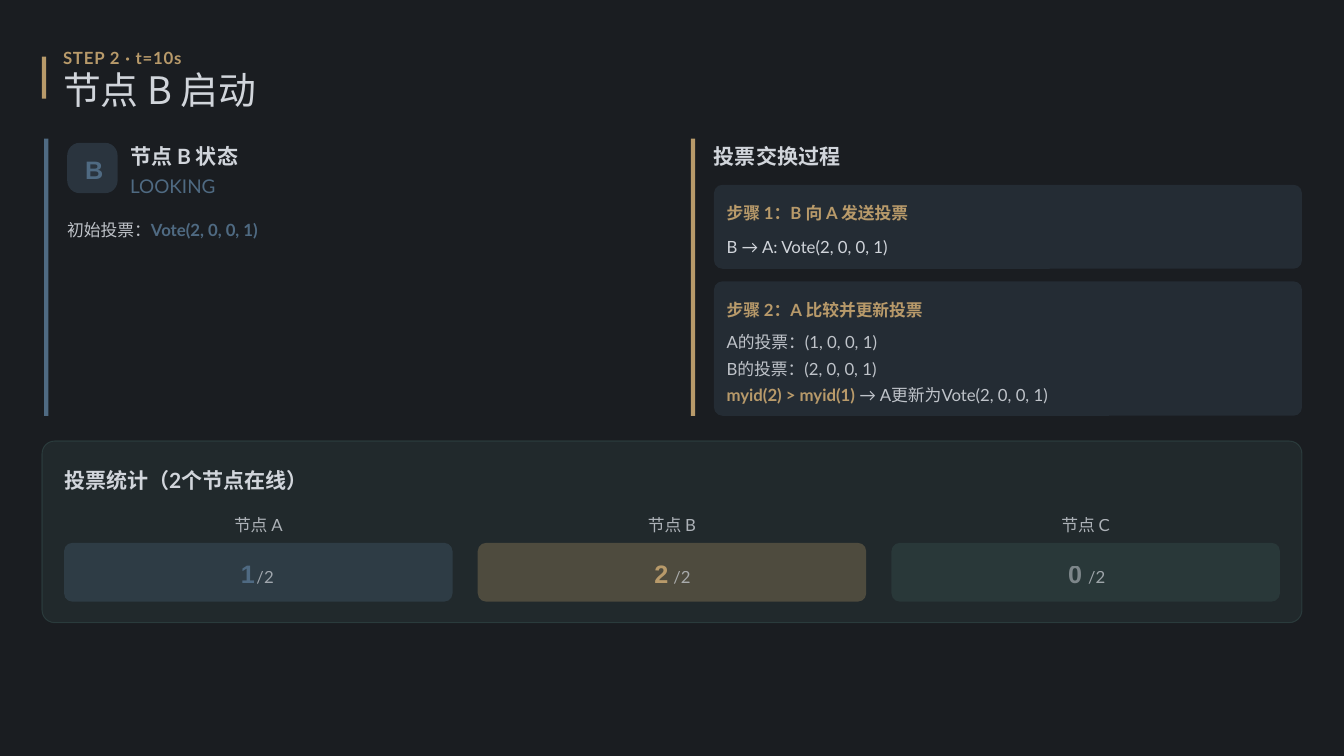
import pptx
import pptx.util
import pptx.dml.color
import pptx.enum.shapes
import pptx.enum.text
import pptx.oxml
import pptx.oxml.ns

PX = 12700
COLORS = {"bg": "1A1D21", "gold": "B89A6A", "blue": "4F6A82", "green": "3E5C5A", "light": "D1D5DB"}
CJK = "Noto Sans CJK SC"
SHAPE = pptx.enum.shapes.MSO_SHAPE
ALIGN = pptx.enum.text.PP_ALIGN

STYLES = {
    "kicker": {"size": 16, "name": "Lato", "bold": True},
    "title": {"size": 36, "name": CJK, "bold": False},
    "heading": {"size": 20, "name": "Lato", "bold": True},
    "state": {"size": 18, "name": "Lato", "bold": False},
    "strong": {"size": 16, "name": "Lato", "bold": True},
    "body": {"size": 16, "name": "Lato", "bold": False},
    "number": {"size": 24, "name": "Arial", "bold": True},
}
SPACING = {"title": 0.9, "number": 1.1, "heading": 1.2}


def paint(fill, el, color, alpha=100):
    fill.solid()
    fill.fore_color.rgb = pptx.dml.color.RGBColor.from_string(COLORS[color])
    if alpha < 100:
        clr = next(el.iter(pptx.oxml.ns.qn("a:srgbClr")))
        a = pptx.oxml.parse_xml(f'<a:alpha {pptx.oxml.ns.nsdecls("a")} val="{alpha * 1000}"/>')
        clr.append(a)


def add_run(p, text, style, color, alpha=100):
    r = p.add_run()
    r.text = text
    for key, value in STYLES[style].items():
        setattr(r.font, key, pptx.util.Pt(value) if key == "size" else value)
    paint(r.font.fill, r._r, color, alpha)
    rPr = r._r.get_or_add_rPr()
    rPr.append(pptx.oxml.parse_xml(f'<a:ea {pptx.oxml.ns.nsdecls("a")} typeface="{CJK}"/>'))
    if style == "kicker":
        rPr.set("spc", "80")


def write(sp, paragraphs, align=ALIGN.LEFT):
    tf = sp.text_frame
    frame = {"margin_left": 0, "margin_top": 0, "margin_right": 0, "margin_bottom": 0,
             "word_wrap": True, "auto_size": pptx.enum.text.MSO_AUTO_SIZE.NONE,
             "vertical_anchor": pptx.enum.text.MSO_ANCHOR.MIDDLE}
    for key, value in frame.items():
        setattr(tf, key, value)
    for i, runs in enumerate(paragraphs):
        p = tf.add_paragraph() if i else tf.paragraphs[0]
        p.alignment = align
        p.line_spacing = SPACING.get(runs[0][1], 1.3)
        for run in runs:
            add_run(p, *run)


def add_text(s, x, y, w, h, *paragraphs, align=ALIGN.LEFT):
    sp = s.shapes.add_textbox(x * PX, y * PX, w * PX, h * PX)
    write(sp, paragraphs, align)


def add_box(s, x, y, w, h, color, alpha=100, radius=0):
    kind = SHAPE.ROUNDED_RECTANGLE if radius else SHAPE.RECTANGLE
    sp = s.shapes.add_shape(kind, x * PX, y * PX, w * PX, h * PX)
    if radius:
        sp.adjustments[0] = radius / min(w, h)
    sp.shadow.inherit = False
    paint(sp.fill, sp._element.spPr, color, alpha)
    sp.line.fill.background()
    return sp


def header(s, x, y):
    add_box(s, x, y + 14, 4, 40, "gold")
    add_text(s, x + 20, y, 195, 24, [("STEP 2 · t=10s", "kicker", "gold")])
    sp = s.shapes.title
    place = {"left": x + 20, "top": y + 28, "width": 205, "height": 40}
    for key, value in place.items():
        setattr(sp, key, value * PX)
    write(sp, [[("节点 B 启动", "title", "light")]])


def node_state(s, x, y, w, h):
    add_box(s, x, y, 4, h, "blue")
    add_box(s, x + 22, y + 4, 48, 48, "blue", 30, 12)
    add_text(s, x + 39, y + 12, 27, 32, [("B", "number", "blue")])
    add_text(s, x + 82, y, 120, 28, [("节点 B 状态", "heading", "light")])
    add_text(s, x + 82, y + 28, 114, 28, [("LOOKING", "state", "blue")])
    add_text(s, x + 22, y + 72, w - 22, 24,
             [("初始投票：", "body", "light", 90), ("Vote(2, 0, 0, 1)", "strong", "blue")])


def step_card(s, x, y, w, h, title, *lines):
    add_box(s, x, y, w, h, "blue", 20, 8)
    add_text(s, x + 12, y + 12, w - 16, 24, [(title, "strong", "gold")])
    add_text(s, x + 12, y + 44, w - 16, 24 * len(lines), *lines)


def vote_exchange(s, x, y, w, h):
    add_box(s, x, y, 4, h, "gold")
    add_text(s, x + 22, y, w - 22, 28, [("投票交换过程", "heading", "light")])
    step_card(s, x + 22, y + 44, w - 22, 80, "步骤 1：B 向 A 发送投票",
              [("B → A: Vote(2, 0, 0, 1)", "body", "light")])
    step_card(s, x + 22, y + 136, w - 22, 128, "步骤 2：A 比较并更新投票",
              [("A的投票：(1, 0, 0, 1)", "body", "light", 90)],
              [("B的投票：(2, 0, 0, 1)", "body", "light", 90)],
              [("myid(2) > myid(1)", "strong", "gold"),
               (" → A更新为Vote(2, 0, 0, 1)", "body", "light", 90)])


def tally(s, x, y, w, node, votes, fill, color, alpha, total_x):
    add_text(s, x, y, w, 24, [(f"节点 {node}", "body", "light", 80)], align=ALIGN.CENTER)
    add_box(s, x, y + 32, w, 56, fill, 30, 8)
    add_text(s, x + 162, y + 43, 26, 34, [(votes, "number", color, alpha)], align=ALIGN.CENTER)
    add_text(s, x + total_x, y + 51, 23, 21, [("/2", "body", "light", 70)], align=ALIGN.CENTER)


def vote_stats(s, x, y, w, h):
    sp = add_box(s, x, y, w, h, "green", 20, 12)
    paint(sp.line.fill, sp._element.spPr.find(pptx.oxml.ns.qn("a:ln")), "green", 40)
    sp.line.width = pptx.util.Pt(1)
    add_text(s, x + 21, y + 21, w - 32, 28, [("投票统计（2个节点在线）", "heading", "light")])
    gap = 24
    col = (w - 42 - 2 * gap) // 3
    nodes = [("A", "1", "blue", "blue", 100, 180),
             ("B", "2", "gold", "gold", 100, 183),
             ("C", "0", "green", "light", 50, 184)]
    for i, node in enumerate(nodes):
        tally(s, x + 21 + i * (col + gap), y + 65, col, *node)


def main():
    prs = pptx.Presentation()
    prs.slide_width, prs.slide_height = 1280 * PX, 720 * PX
    s = prs.slides.add_slide(prs.slide_layouts[5])
    paint(s.background.fill, s._element, "bg")
    header(s, 40, 40)
    node_state(s, 42, 132, 590, 264)
    vote_exchange(s, 658, 132, 582, 264)
    vote_stats(s, 40, 420, 1200, 173)
    prs.save("out.pptx")


if __name__ == "__main__":
    main()
